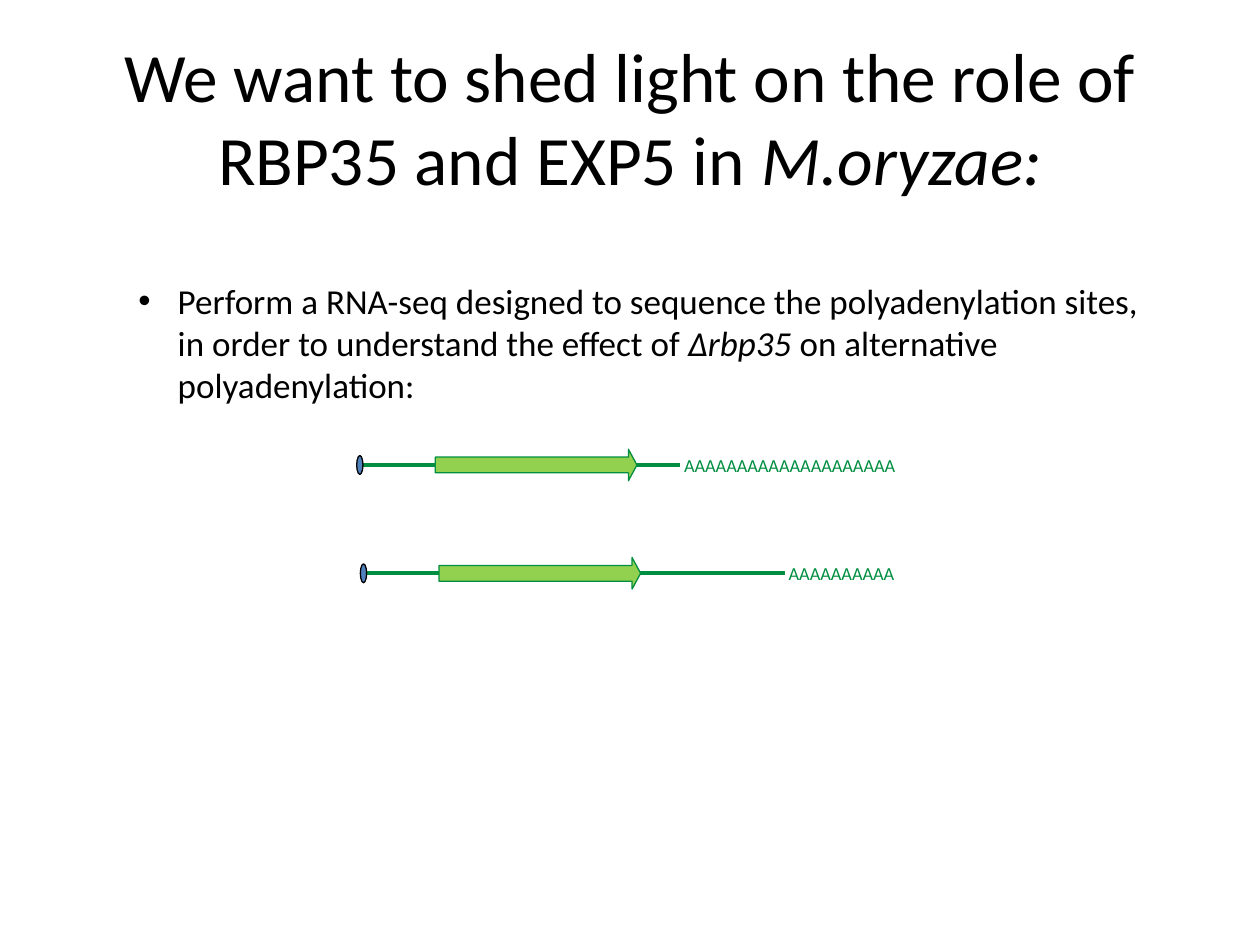
from dataclasses import dataclass

from lxml.etree import SubElement
from pptx import Presentation
from pptx.dml.color import RGBColor
from pptx.enum.shapes import MSO_CONNECTOR as CONN, MSO_SHAPE as SHAPE
from pptx.enum.text import MSO_ANCHOR as ANCHOR, MSO_AUTO_SIZE as AUTO, PP_ALIGN as ALIGN
from pptx.oxml.ns import qn
from pptx.util import Pt


@dataclass(frozen=True)
class Theme:
    font: str = "Calibri"
    black: str = "000000"
    green: str = "008E40"
    light_green: str = "92D050"
    blue: str = "4F81BD"
    title_size: float = 39.6
    body_size: float = 20
    tail_size: float = 10.5
    thin: float = 0.75
    thick: float = 2.25


def rgb(color):
    return RGBColor.from_string(color)


def write(tf, runs, *, font, size, color, align=ALIGN.LEFT, anchor=ANCHOR.TOP, indent=0):
    """Fill one paragraph with (text, italic) runs; an indent makes it a bullet."""
    tf.word_wrap = True
    tf.vertical_anchor = anchor
    p = tf.paragraphs[0]
    p.alignment = align
    if indent:
        pPr = p._p.get_or_add_pPr()
        pPr.set("marL", str(Pt(indent)))
        pPr.set("indent", str(-Pt(indent)))
        SubElement(pPr, qn("a:buFont"), typeface="Arial")
        SubElement(pPr, qn("a:buChar"), char="•")
    for text, italic in runs:
        r = p.add_run()
        r.text = text
        r.font.name = font
        r.font.size = Pt(size)
        r.font.italic = italic
        r.font.color.rgb = rgb(color)


class SlideBuilder:
    def __init__(self, prs, theme):
        self.theme = theme
        self.slide = prs.slides.add_slide(prs.slide_layouts[5])

    def title(self, runs, x, y, w, h):
        sp = self.slide.shapes.title
        sp.left, sp.top, sp.width, sp.height = map(Pt, (x, y, w, h))
        sp.text_frame.auto_size = AUTO.NONE
        write(sp.text_frame, runs, font=self.theme.font, size=self.theme.title_size,
              color=self.theme.black, align=ALIGN.CENTER, anchor=ANCHOR.MIDDLE)

    def text(self, runs, x, y, w, h, **fmt):
        sp = self.slide.shapes.add_textbox(*map(Pt, (x, y, w, h)))
        sp.text_frame.auto_size = AUTO.SHAPE_TO_FIT_TEXT
        write(sp.text_frame, runs, font=self.theme.font, **fmt)

    def shape(self, kind, x, y, w, h, fill, line):
        sp = self.slide.shapes.add_shape(kind, *map(Pt, (x, y, w, h)))
        sp.shadow.inherit = False
        sp.fill.solid()
        sp.fill.fore_color.rgb = rgb(fill)
        sp.line.color.rgb = rgb(line)
        sp.line.width = Pt(self.theme.thin)
        return sp

    def line(self, x1, y1, x2, y2, color):
        cxn = self.slide.shapes.add_connector(CONN.STRAIGHT, *map(Pt, (x1, y1, x2, y2)))
        cxn.line.color.rgb = rgb(color)
        cxn.line.width = Pt(self.theme.thick)
        SubElement(cxn._element.spPr, qn("a:effectLst"))

    def transcript(self, x, y, end, tail_length, tail_width):
        """Draw an mRNA centred on y: cap, coding arrow and poly(A) tail."""
        t = self.theme
        self.line(x, y, end, y, t.green)
        arrow = self.shape(SHAPE.RIGHT_ARROW, x + 45, y - 9, 115.2, 18, t.light_green, t.green)
        arrow.adjustments[0] = 0.5
        arrow.adjustments[1] = 0.27
        self.shape(SHAPE.OVAL, x, y - 5.4, 3.6, 10.8, t.blue, t.black)
        self.text([("A" * tail_length, False)], end - 5, y - 10, tail_width, 20,
                  size=t.tail_size, color=t.green)


def main():
    prs = Presentation()
    prs.slide_width, prs.slide_height = Pt(720), Pt(540)
    theme = Theme()
    s = SlideBuilder(prs, theme)

    s.title([("We want to shed light on the role of RBP35 and EXP5 in ", False),
             ("M.oryzae:", True)], 36, 21.6, 648, 90)
    s.text([("Perform a RNA-seq designed to sequence the polyadenylation sites, "
             "in order to understand the effect of ", False),
            ("Δrbp35 ", True),
            ("on alternative polyadenylation:", False)],
           72, 156.2, 602.6, 80, size=theme.body_size, color=theme.black, indent=22.5)

    s.transcript(203.8, 265.7, end=388.8, tail_length=20, tail_width=152.6)
    s.transcript(205.9, 327.6, end=448.6, tail_length=10, tail_width=82)

    prs.save("out.pptx")


if __name__ == "__main__":
    main()
